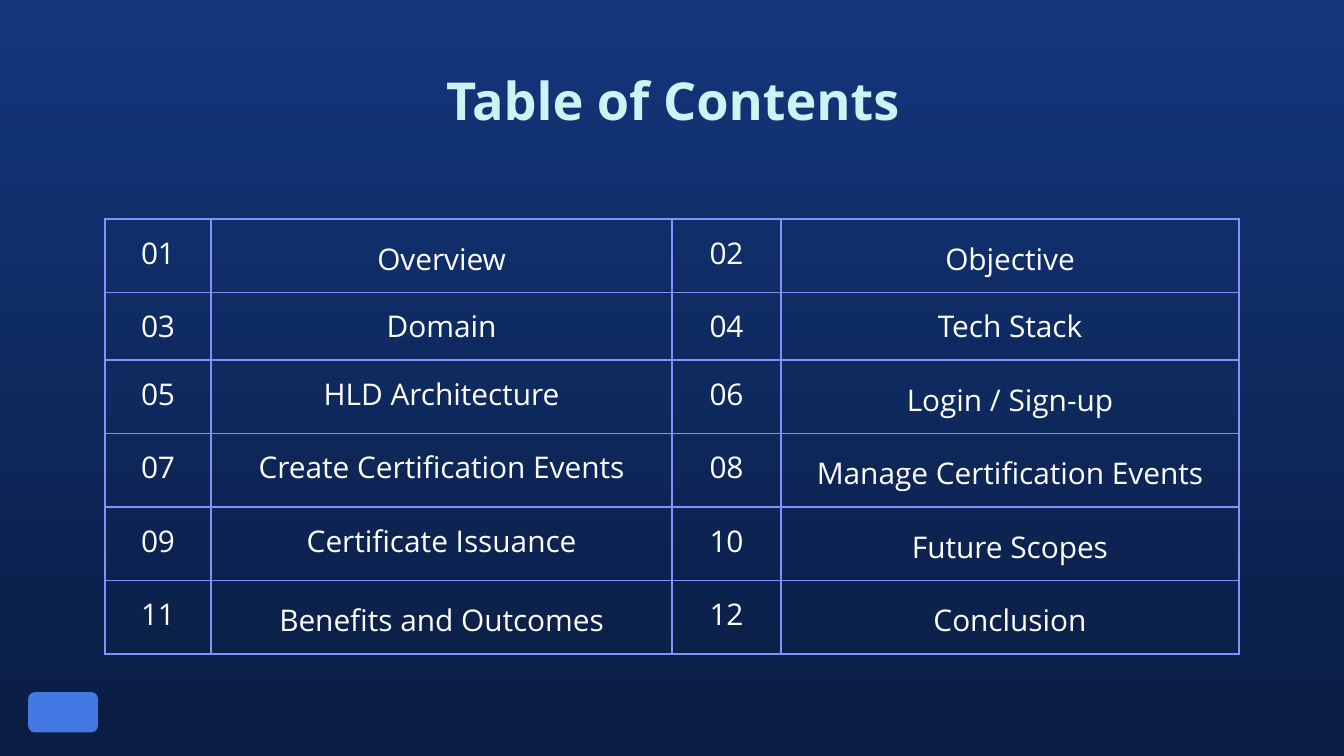
from lxml.etree import SubElement
from pptx import Presentation
from pptx.dml.color import RGBColor
from pptx.enum.shapes import MSO_SHAPE as Shape
from pptx.enum.text import PP_ALIGN as Align
from pptx.oxml import parse_xml
from pptx.oxml.ns import nsdecls, qn
from pptx.util import Pt

FONT = "Open Sans"
WHITE, PALE, BLUE, LILAC = "FFFFFF", "CEF3F5", "4379E2", "878FFF"
TOPICS = [
    "Overview", "Objective", "Domain", "Tech Stack",
    "HLD Architecture", "Login / Sign-up",
    "Create Certification Events", "Manage Certification Events",
    "Certificate Issuance", "Future Scopes",
    "Benefits and Outcomes", "Conclusion",
]
LOOSE_TOPICS = {1, 2, 6, 8, 10, 11, 12}  # numbers set with wider line spacing
COLUMN_WIDTHS = [56.9, 247, 58.3, 245.5]
ROW_HEIGHTS = [39.4, 36, 39.4, 39.4, 39.4, 39.4]


def color(value):
    return RGBColor.from_string(value)


def set_format(target, values):
    for name, value in values.items():
        setattr(target, name, value)


def set_margins(target, size):
    sides = ("left", "top", "right", "bottom")
    set_format(target, {f"margin_{side}": Pt(size) for side in sides})


def write(frame, text, size, ink, bold=False, spacing=None):
    para = frame.paragraphs[0]
    set_format(para, {"alignment": Align.CENTER, "line_spacing": spacing})
    span = para.add_run()
    span.text = text
    set_format(span.font, {"name": FONT, "size": Pt(size), "bold": bold})
    span.font.color.rgb = color(ink)


def paint_background(page):
    fill = page.background.fill
    fill.gradient()
    fill.gradient_angle = 270
    stops = zip(fill.gradient_stops, ("13367C", "0A1D42"), (0, 1))
    for stop, value, position in stops:
        stop.color.rgb = color(value)
        stop.position = position


def add_title(page, place, text):
    box = page.shapes.add_textbox(*map(Pt, place))
    box.text_frame.word_wrap = True
    set_margins(box.text_frame, 7.2)
    write(box.text_frame, text, 28, PALE, bold=True)


def add_badge(page, place):
    badge = page.shapes.add_shape(Shape.ROUNDED_RECTANGLE, *map(Pt, place))
    badge.shadow.inherit = False
    badge.fill.solid()
    badge.fill.fore_color.rgb = color(BLUE)
    badge.line.fill.background()


def add_borders(cell, value):
    properties = cell._tc.get_or_add_tcPr()
    for index, side in enumerate(("lnL", "lnR", "lnT", "lnB")):
        line = parse_xml(f'<a:{side} {nsdecls("a")} w="{Pt(1)}"/>')
        fill = SubElement(line, qn("a:solidFill"))
        SubElement(fill, qn("a:srgbClr"), val=value)
        properties.insert(index, line)


def fill_cell(cell, text, spacing=None):
    cell.fill.background()
    set_margins(cell, 7.2)
    write(cell.text_frame, text, 16, WHITE, spacing=spacing)
    add_borders(cell, LILAC)


def add_contents(page, left, top):
    table = page.shapes.add_table(
        len(ROW_HEIGHTS), len(COLUMN_WIDTHS), Pt(left), Pt(top),
        Pt(sum(COLUMN_WIDTHS)), Pt(sum(ROW_HEIGHTS))).table
    set_format(table, {"first_row": False, "horz_banding": False})
    for column, width in zip(table.columns, COLUMN_WIDTHS):
        column.width = Pt(width)
    for row, height in zip(table.rows, ROW_HEIGHTS):
        row.height = Pt(height)
    # Two number and topic pairs per row
    for index, topic in enumerate(TOPICS):
        row, pair = divmod(index, 2)
        number = index + 1
        fill_cell(table.cell(row, 2 * pair), f"{number:02d}")
        fill_cell(table.cell(row, 2 * pair + 1), topic,
                  1.15 if number in LOOSE_TOPICS else None)


def main():
    deck = Presentation()
    set_format(deck, {"slide_width": Pt(720), "slide_height": Pt(405)})
    page = deck.slides.add_slide(deck.slide_layouts[6])
    paint_background(page)

    # Title and contents
    add_title(page, (56.9, 29.5, 607, 45.4), "Table of Contents")
    add_contents(page, 56.2, 117.4)

    # Footer badge
    add_badge(page, (15.1, 370.8, 37.4, 21.6))

    deck.save("out.pptx")


if __name__ == "__main__":
    main()
